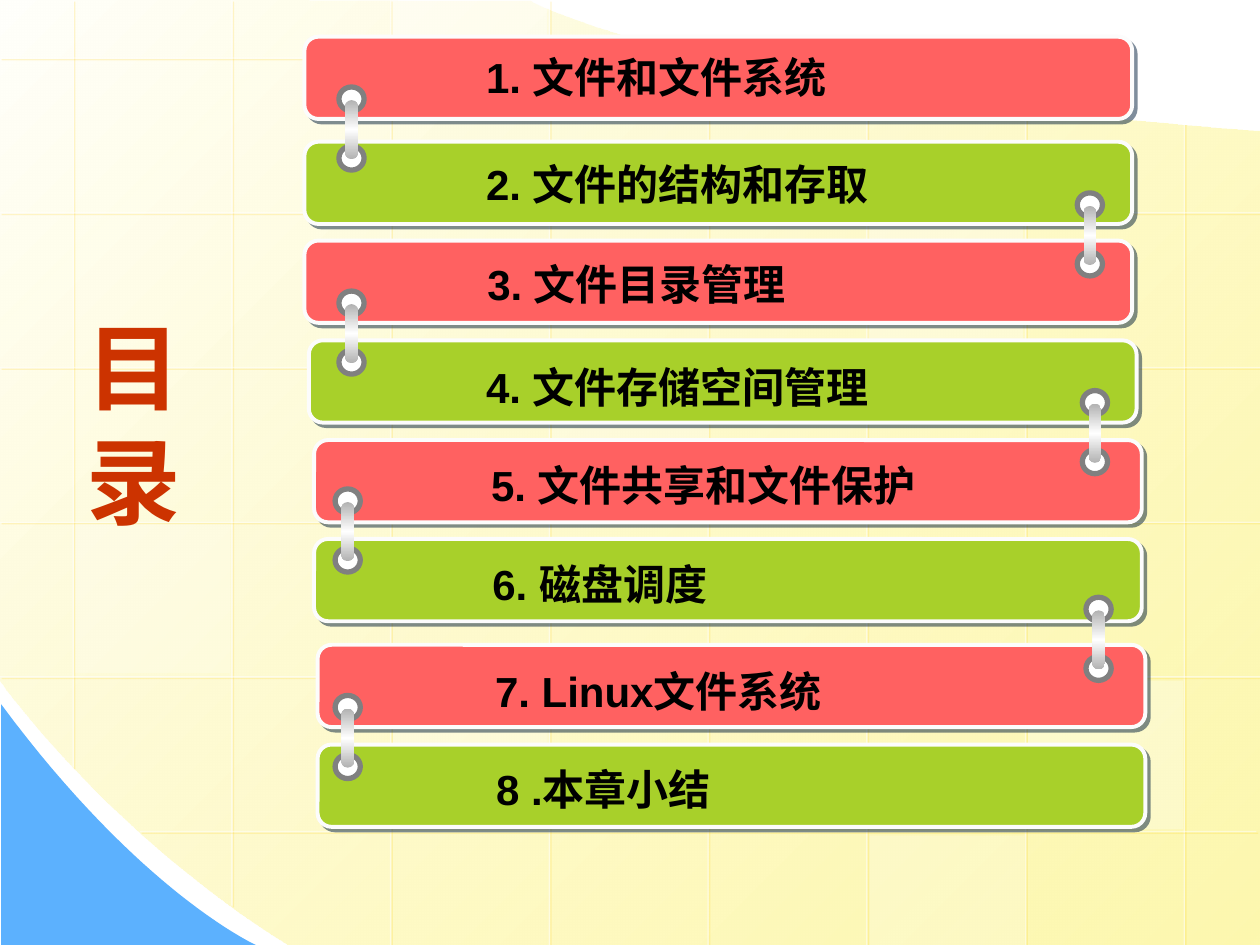
from lxml import etree
from pptx import Presentation
from pptx.dml.color import RGBColor
from pptx.enum.shapes import MSO_CONNECTOR, MSO_SHAPE
from pptx.enum.text import MSO_ANCHOR, PP_ALIGN
from pptx.oxml.ns import qn
from pptx.util import Pt

STRAIGHT = MSO_CONNECTOR.STRAIGHT
RECTANGLE = MSO_SHAPE.RECTANGLE
ROUNDED = MSO_SHAPE.ROUNDED_RECTANGLE
OVAL = MSO_SHAPE.OVAL
MIDDLE = MSO_ANCHOR.MIDDLE
LEFT = PP_ALIGN.LEFT

WHITE = RGBColor(0xFF, 0xFF, 0xFF)
BLACK = RGBColor(0x00, 0x00, 0x00)
IVORY = RGBColor(0xFF, 0xFF, 0xFB)
YELLOW = RGBColor(0xFD, 0xF5, 0x8D)
BLUE = RGBColor(0x5C, 0xB1, 0xFE)
GOLD = RGBColor(0xFF, 0xCC, 0x00)
TITLE_RED = RGBColor(0xCC, 0x33, 0x00)
RED = RGBColor(0xFF, 0x61, 0x61)
GREEN = RGBColor(0xA8, 0xD0, 0x2A)
BORDER = RGBColor(0xFC, 0xFC, 0xFC)
NAVY = RGBColor(0x00, 0x1D, 0x3A)
GRAY = RGBColor(0x80, 0x80, 0x80)
SILVER = RGBColor(0xB2, 0xB2, 0xB2)

FONT = "Arial"
LINE_SHADOW = (GOLD, 34, 1.4)
BAR_SHADOW = (NAVY, 50, 2.8)
TEXT_SHADOW = (GRAY, 60, 1.5)

ENTRIES = [
    ("1. 文件和文件系统", 174, 21, 234.7, 26),
    ("2. 文件的结构和存取", 174, 81, 234.7, 87),
    ("3. 文件目录管理", 174, 137.5, 235.4, 144),
    ("4. 文件存储空间管理", 176.5, 194.5, 234.7, 203),
    ("5. 文件共享和文件保护", 179.5, 251.5, 237.6, 259),
    ("6. 磁盘调度", 179.5, 308, 238.3, 315.5),
    ("7. Linux文件系统", 181.5, 368.5, 239.8, 376.5),
    ("8 .本章小结", 181.5, 425.5, 240.5, 432.5),
]
CLIPS = [
    (193.7, 49.7), (615.6, 110.2), (193.7, 166.3), (618.5, 223.2),
    (191.5, 279.4), (620.6, 341.3), (191.5, 397.4),
]
COLUMN_ENDS = [(0, 438.5), (0, 517.5), (0, 540), (0, 541),
               (31, 541), (49, 541), (61, 541), (70.5, 541)]
ROW_ENDS = [(409, 0), (720, 0), (720, 0), (720, 0), (720, 0), (718, 80)]
TILES = [
    (315.5, 211.5, 85, 25), (587.5, 389, 85, 30), (43, 299.5, 85, 20),
    (497, 477.5, 62.5, 20), (224, 0, 31.5, 40), (224.5, 389, 85, 30),
    (496, 123, 85, 30),
]


def add_color(parent, color, opacity=100):
    """Append an RGB colour with its opacity in percent."""
    node = etree.SubElement(parent, qn("a:srgbClr"), val=str(color))
    if opacity < 100:
        etree.SubElement(node, qn("a:alpha"), val=str(opacity * 1000))


def set_effects(properties, shadow=None):
    """Replace inherited effects by nothing or by one diagonal shadow."""
    effects = etree.SubElement(properties, qn("a:effectLst"))
    if shadow:
        color, opacity, distance = shadow
        outer = etree.SubElement(effects, qn("a:outerShdw"), dist=str(Pt(distance)),
                                 dir="2700000", algn="ctr", rotWithShape="0")
        add_color(outer, color, opacity)


def set_opacity(properties, opacity):
    """Make the first colour found under an element translucent."""
    color = next(properties.iter(qn("a:srgbClr")))
    etree.SubElement(color, qn("a:alpha"), val=str(opacity * 1000))


def set_gradient(shape, stops, angle):
    """Fill a shape with a linear gradient of (percent, colour, opacity) stops."""
    shape.fill.background()
    properties = shape.element.spPr
    gradient = etree.Element(qn("a:gradFill"), rotWithShape="1")
    stop_list = etree.SubElement(gradient, qn("a:gsLst"))
    for position, color, opacity in stops:
        stop = etree.SubElement(stop_list, qn("a:gs"), pos=str(position * 1000))
        add_color(stop, color, opacity)
    etree.SubElement(gradient, qn("a:lin"), ang=str(angle * 60000), scaled="1")
    properties.replace(properties.find(qn("a:noFill")), gradient)


def style_shape(shape, fill=None, line=None, line_width=0, shadow=None):
    """Set solid fill, outline and shadow of a shape."""
    if fill is not None:
        shape.fill.solid()
        shape.fill.fore_color.rgb = fill
    if line is None:
        shape.line.fill.background()
    else:
        shape.line.color.rgb = line
        shape.line.width = Pt(line_width)
    set_effects(shape.element.spPr, shadow)


def add_box(slide, kind, left, top, width, height, **style):
    """Add a styled preset shape."""
    shape = slide.shapes.add_shape(kind, Pt(left), Pt(top), Pt(width), Pt(height))
    style_shape(shape, **style)
    return shape


def curve(start, first, second, end, steps=32):
    """Return points along a cubic curve."""
    fractions = [step / steps for step in range(steps + 1)]
    return [tuple((1 - t) ** 3 * a + 3 * (1 - t) ** 2 * t * b + 3 * (1 - t) * t ** 2 * c + t ** 3 * d
                  for a, b, c, d in zip(start, first, second, end)) for t in fractions]


def add_outline(slide, points):
    """Add a closed freeform through the points."""
    vertices = [(Pt(x), Pt(y)) for x, y in points]
    builder = slide.shapes.build_freeform(*vertices[0])
    builder.add_line_segments(vertices[1:], close=True)
    return builder.convert_to_shape()


def add_grid_line(slide, *ends):
    """Add one translucent white line with a golden shadow."""
    line = slide.shapes.add_connector(STRAIGHT, *(Pt(value) for value in ends))
    line.line.color.rgb = WHITE
    line.line.width = Pt(0.75)
    set_opacity(line.element.spPr, 50)
    set_effects(line.element.spPr, LINE_SHADOW)


def add_background(slide):
    """Draw the curved panel, the blue corner, the grid and its light tiles."""
    panel = add_outline(slide, [
        (720, 540),
        *curve((165.6, 540), (61.9, 475.9), (-0.7, 388.1), (0, 388.1)),
        (-0.7, -0.7),
        *curve((303.1, 0.7), (303.1, 0.7), (386.6, 49.7), (720, 74.9)),
    ])
    set_gradient(panel, [(0, IVORY, 100), (100, YELLOW, 70)], 45)
    style_shape(panel)
    corner = add_outline(slide, [
        (0.7, 540), *curve((146.2, 540), (146.2, 540), (80.6, 510.5), (0.7, 402.5))])
    style_shape(corner, BLUE)
    for index, (top, bottom) in enumerate(COLUMN_ENDS):
        x = 41.8 + 90.7 * index
        add_grid_line(slide, x, top, x, bottom)
    for index, (right, left) in enumerate(ROW_ENDS):
        y = 33.2 + 88.4 * index
        add_grid_line(slide, right, y, left, y)
    for left, top, height, opacity in TILES:
        tile = add_box(slide, RECTANGLE, left, top, 88.5, height, fill=WHITE)
        set_opacity(tile.element.spPr, opacity)


def format_run(run, size, color, shadow=None):
    """Set bold type, with an optional shadow."""
    run.font.size = Pt(size)
    run.font.bold = True
    run.font.color.rgb = color
    if shadow:
        set_effects(run.font._element, shadow)
    run.font.name = FONT


def format_title(title):
    """Place the title in its narrow column, in front of the background."""
    title.element.getparent().append(title.element)
    title.left, title.top, title.width, title.height = Pt(42.5), Pt(139.7), Pt(62.6), Pt(203.8)
    frame = title.text_frame
    frame.text = "目录"
    frame.word_wrap = True
    frame.vertical_anchor = MIDDLE
    frame.paragraphs[0].alignment = LEFT
    format_run(frame.paragraphs[0].runs[0], 54, TITLE_RED)


def add_entry(slide, label, color, bar_left, bar_top, text_left, text_top):
    """Add a contents bar with its label."""
    bar = add_box(slide, ROUNDED, bar_left, bar_top, 473, 47,
                  fill=color, line=BORDER, line_width=2.25, shadow=BAR_SHADOW)
    bar.adjustments[0] = 0.17
    frame = slide.shapes.add_textbox(Pt(text_left), Pt(text_top), Pt(355), Pt(36.7)).text_frame
    frame.word_wrap = True
    paragraph = frame.paragraphs[0]
    paragraph.text = label
    paragraph._p.get_or_add_pPr().set("marL", str(Pt(36)))
    format_run(paragraph.runs[0], 24, BLACK, TEXT_SHADOW)


def add_clip(slide, left, top):
    """Add two rings joined by a metal bar."""
    for offset in (0, 33.8):
        add_box(slide, OVAL, left, top + offset, 14.4, 13.7, fill=WHITE, line=GRAY, line_width=3)
    pin = slide.shapes.add_shape(ROUNDED, Pt(left + 3.6), Pt(top + 7.5), Pt(7.2), Pt(33.8))
    pin.adjustments[0] = 0.5
    set_gradient(pin, [(0, SILVER, 100), (50, WHITE, 100), (100, SILVER, 100)], 90)
    style_shape(pin)


def main():
    """Build the contents slide."""
    presentation = Presentation()
    presentation.slide_width, presentation.slide_height = Pt(720), Pt(540)
    slide = presentation.slides.add_slide(presentation.slide_layouts[5])
    add_background(slide)
    format_title(slide.shapes.title)
    for index, (label, *places) in enumerate(ENTRIES):
        add_entry(slide, label, GREEN if index % 2 else RED, *places)
    for left, top in CLIPS:
        add_clip(slide, left, top)
    presentation.save("out.pptx")


if __name__ == "__main__":
    main()
